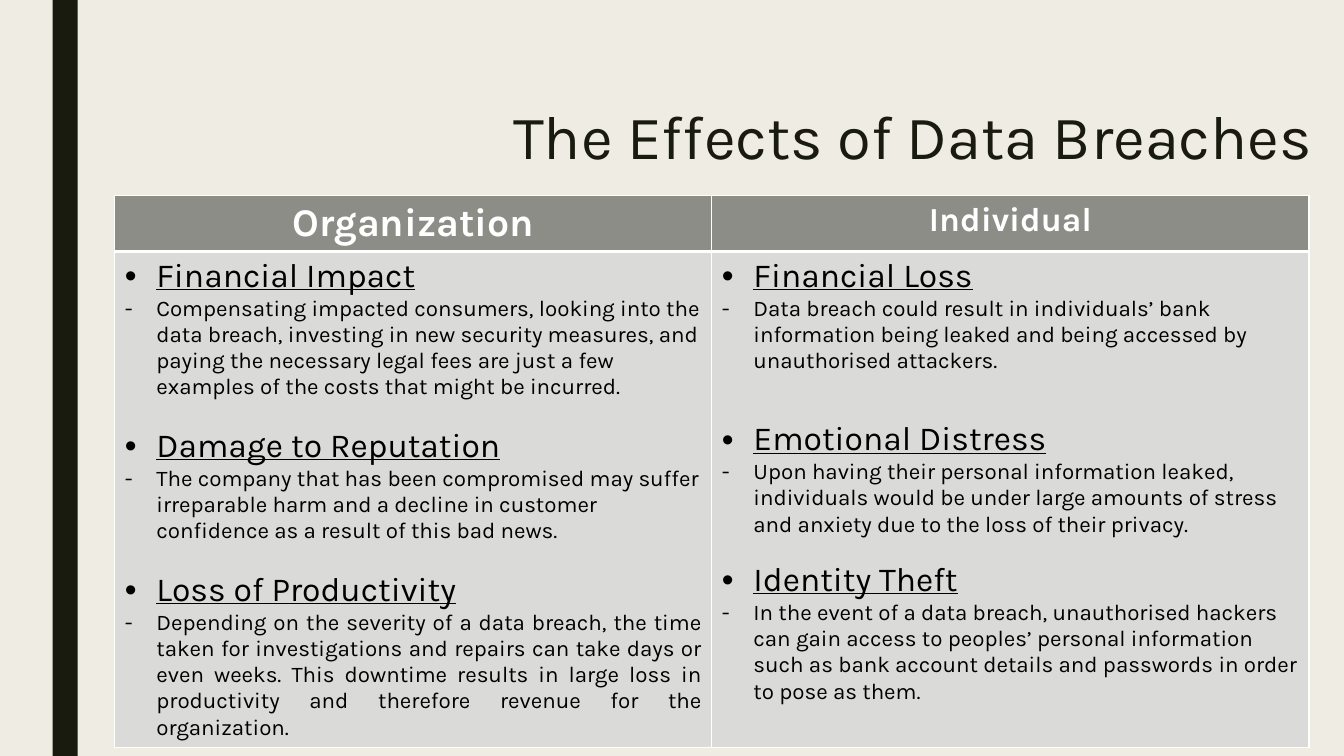
from dataclasses import dataclass

from lxml.etree import SubElement
from pptx import Presentation
from pptx.dml.color import RGBColor
from pptx.enum.shapes import MSO_SHAPE
from pptx.enum.text import MSO_ANCHOR, MSO_AUTO_SIZE, PP_ALIGN
from pptx.oxml import parse_xml
from pptx.oxml.ns import nsdecls, qn
from pptx.util import Pt

TITLE = "The Effects of Data Breaches"
COLUMNS = [
    {
        "name": "Organization", "size": 28, "width": 426.5,
        "effects": [
            ("Financial Impact", 0, PP_ALIGN.LEFT,
             "Compensating impacted consumers, looking into the data breach, investing in new "
             "security measures, and paying the necessary legal fees are just a few examples of "
             "the costs that might be incurred."),
            ("Damage to Reputation", 18.7, PP_ALIGN.LEFT,
             "The company that has been compromised may suffer irreparable harm and a decline in "
             "customer confidence as a result of this bad news."),
            ("Loss of Productivity", 18.7, PP_ALIGN.JUSTIFY,
             "Depending on the severity of a data breach, the time taken for investigations and "
             "repairs can take days or even weeks. This downtime results in large loss in "
             "productivity and therefore revenue for the organization."),
        ],
    },
    {
        "name": "Individual", "size": 24, "width": 426.5,
        "effects": [
            ("Financial Loss", 0, PP_ALIGN.LEFT,
             "Data breach could result in individuals’ bank information being leaked and being "
             "accessed by unauthorised attackers."),
            ("Emotional Distress", 32.7, PP_ALIGN.LEFT,
             "Upon having their personal information leaked, individuals would be under large "
             "amounts of stress and anxiety due to the loss of their privacy."),
            ("Identity Theft", 16.4, PP_ALIGN.LEFT,
             "In the event of a data breach, unauthorised hackers can gain access to peoples’ "
             "personal information such as bank account details and passwords in order to pose "
             "as them."),
        ],
    },
]
ROW_HEIGHTS = [40, 354]
TABLE_LEFT, TABLE_TOP = 82, 139.7
INDENT = 22.5


@dataclass(frozen=True)
class Theme:
    font: str = "Karla"
    paper: str = "EFEDE3"
    dark: str = "191B0E"
    header: str = "8C8D86"
    body: str = "DADBD9"
    white: str = "FFFFFF"
    black: str = "000000"
    title_size: int = 44
    effect_size: int = 24
    detail_size: int = 16
    thin: int = 1
    thick: int = 3


THEME = Theme()


def paint(fill, color):
    fill.solid()
    fill.fore_color.rgb = RGBColor.from_string(color)


def add_text(para, text, size, color, bold=False, underline=False):
    span = para.add_run()
    span.text = text
    font = span.font
    font.name, font.size = THEME.font, Pt(size)
    font.bold, font.underline = bold, underline
    font.color.rgb = RGBColor.from_string(color)


def add_bullet(para, mark):
    properties = para._p.get_or_add_pPr()
    properties.set("marL", str(Pt(INDENT)))
    properties.set("indent", str(-Pt(INDENT)))
    SubElement(properties, qn("a:buFont"), typeface="Arial" if mark == "•" else THEME.font)
    SubElement(properties, qn("a:buChar"), char=mark)


def style_cell(cell, color, top, bottom):
    paint(cell.fill, color)
    edges = {"L": THEME.thin, "R": THEME.thin, "T": top, "B": bottom}
    for place, (side, width) in enumerate(edges.items()):
        line = parse_xml(
            f'<a:ln{side} {nsdecls("a")} w="{Pt(width)}"><a:solidFill>'
            f'<a:srgbClr val="{THEME.white}"/></a:solidFill></a:ln{side}>')
        cell._tc.get_or_add_tcPr().insert(place, line)


def fill_header(cell, column):
    style_cell(cell, THEME.header, THEME.thin, THEME.thick)
    para = cell.text_frame.paragraphs[0]
    para.alignment = PP_ALIGN.CENTER
    add_text(para, column["name"], column["size"], THEME.white, bold=True)


def fill_effects(cell, effects):
    style_cell(cell, THEME.body, THEME.thick, THEME.thin)
    frame = cell.text_frame
    for number, (effect, gap, alignment, detail) in enumerate(effects):
        para = frame.add_paragraph() if number else frame.paragraphs[0]
        add_bullet(para, "•")
        if gap:
            para.space_before = Pt(gap)
        add_text(para, effect, THEME.effect_size, THEME.black, underline=True)
        para = frame.add_paragraph()
        add_bullet(para, "-")
        para.alignment = alignment
        add_text(para, detail, THEME.detail_size, THEME.black)


def add_title(page):
    title = page.shapes.title
    title.left, title.top, title.width, title.height = Pt(274.3), Pt(72.7), Pt(756), Pt(116.6)
    frame = title.text_frame
    frame.word_wrap = True
    frame.auto_size = MSO_AUTO_SIZE.NONE
    frame.vertical_anchor = MSO_ANCHOR.TOP
    para = frame.paragraphs[0]
    para.alignment = PP_ALIGN.CENTER
    para.line_spacing = 0.89
    add_text(para, TITLE, THEME.title_size, THEME.dark)


def add_effects_table(page):
    total_width = sum(column["width"] for column in COLUMNS)
    table = page.shapes.add_table(
        len(ROW_HEIGHTS), len(COLUMNS), Pt(TABLE_LEFT), Pt(TABLE_TOP),
        Pt(total_width), Pt(sum(ROW_HEIGHTS))).table
    for row, height in zip(table.rows, ROW_HEIGHTS):
        row.height = Pt(height)
    for index, column in enumerate(COLUMNS):
        table.columns[index].width = Pt(column["width"])
        fill_header(table.cell(0, index), column)
        fill_effects(table.cell(1, index), column["effects"])


def main():
    """Build the slide comparing data breach effects on organizations and individuals."""
    deck = Presentation()
    deck.slide_width, deck.slide_height = Pt(960), Pt(540)
    page = deck.slides.add_slide(deck.slide_layouts[5])
    paint(page.background.fill, THEME.paper)
    sidebar = page.shapes.add_shape(MSO_SHAPE.RECTANGLE, Pt(37.5), 0, Pt(18), Pt(540))
    sidebar.shadow.inherit = False
    paint(sidebar.fill, THEME.dark)
    sidebar.line.fill.background()
    add_title(page)
    add_effects_table(page)
    deck.save("out.pptx")


if __name__ == "__main__":
    main()
